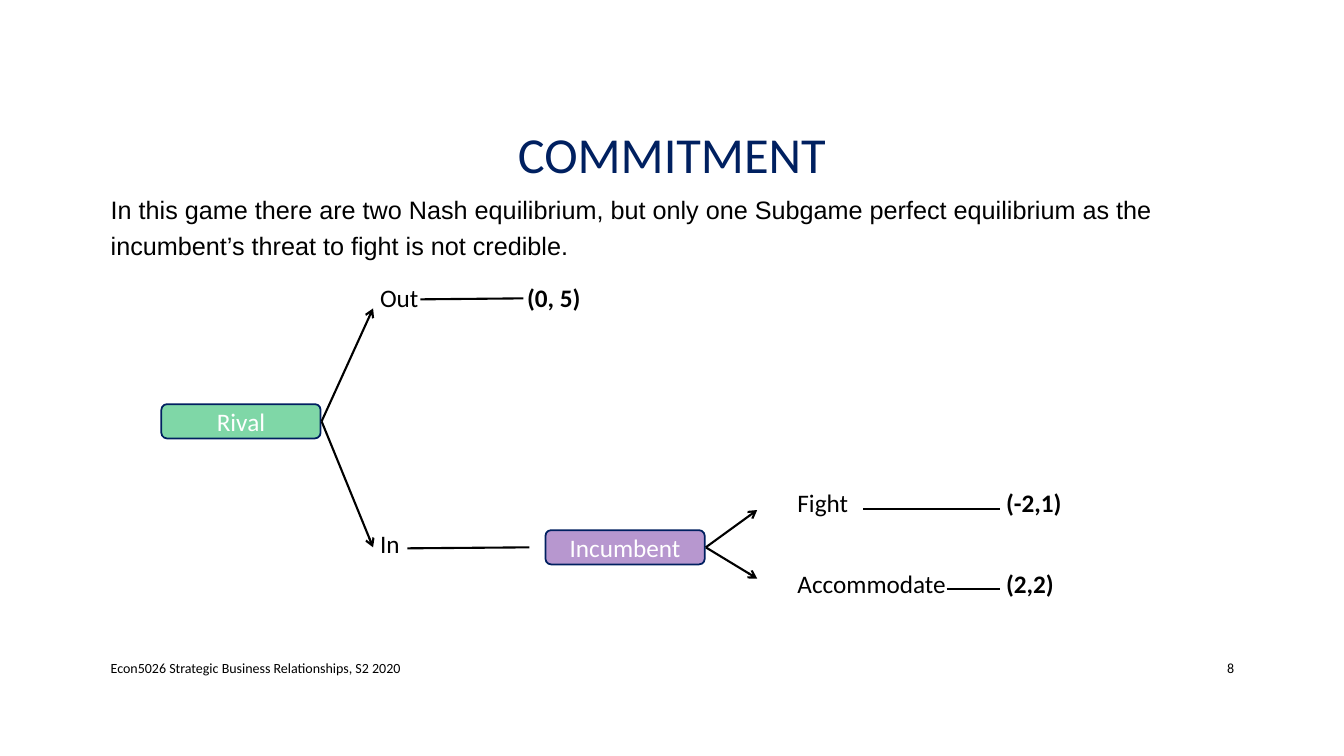
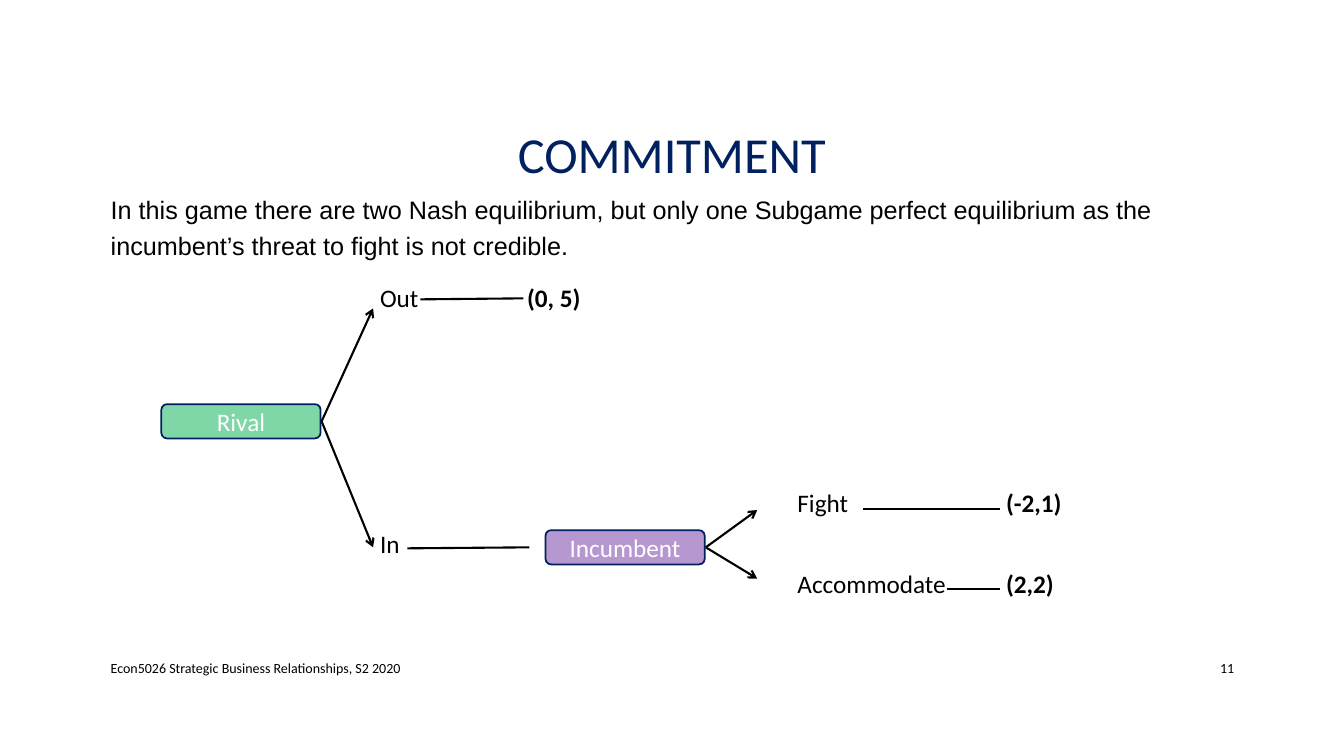
from pptx import Presentation
from pptx.dml.color import RGBColor
from pptx.enum.shapes import MSO_CONNECTOR, MSO_SHAPE
from pptx.enum.text import MSO_ANCHOR, PP_ALIGN
from pptx.oxml.ns import qn
from pptx.util import Inches, Pt
from lxml.etree import SubElement

# Shared look
NAVY, BLACK, WHITE = "002060", "000000", "FFFFFF"
TITLE = "COMMITMENT"
BODY = ("In this game there are two Nash equilibrium, but only one Subgame perfect "
        "equilibrium as the incumbent’s threat to fight is not credible.")
FOOTER = "Econ5026 Strategic Business Relationships, S2 2020"
PAGES = [8, 11]

# Game tree: cells by row and column, players, arrows and plain lines
ROWS, COLS = 9, 5
CELLS = {(1, 1): "Out", (6, 3): "Fight", (6, 4): "(-2,1)",
         (7, 1): "In", (8, 3): "Accommodate", (8, 4): "(2,2)"}
NODES = [("Incumbent", 5.41, 5.26, "7030A0"), ("Rival", 1.6, 4.01, "00B050")]
ARROWS = [(3.19, 4.18, 3.7, 3.06), (3.19, 4.18, 3.7, 5.43),
          (7, 5.43, 7.51, 5.06), (7, 5.43, 7.51, 5.74)]
LINES = [(4.04, 5.44, 5.25, 5.43), (8.56, 5.05, 9.92, 5.05),
         (9.39, 5.84, 9.92, 5.84), (4.17, 2.97, 5.19, 2.96)]


def rgb(code):
    return RGBColor.from_string(code)


def write(frame, text, size=18, color=BLACK, face="Calibri", bold=False,
          align=PP_ALIGN.LEFT, anchor=MSO_ANCHOR.MIDDLE, wrap=True):
    frame.word_wrap = wrap
    frame.vertical_anchor = anchor
    frame.text = text
    para = frame.paragraphs[0]
    para.alignment = align
    font = para.font
    font.size, font.name, font.bold = Pt(size), face, bold
    font.color.rgb = rgb(color)
    return para


deck = Presentation()
deck.slide_width, deck.slide_height = Inches(13.33), Inches(7.5)

for page in PAGES:
    slide = deck.slides.add_slide(deck.slide_layouts[5])
    shapes = slide.shapes

    # Title
    title = shapes.title
    title.left, title.top = Inches(1), Inches(0.68)
    title.width, title.height = Inches(11.33), Inches(1.75)
    para = write(title.text_frame, TITLE, 36, NAVY, align=PP_ALIGN.CENTER)
    para.line_spacing = 0.9

    # Table with the moves and payoffs
    grid = shapes.add_table(ROWS, COLS, Inches(1.6), Inches(2.36),
                            Inches(10.35), Inches(3.65)).table
    grid.first_row = grid.horz_banding = False
    for cell in grid.iter_cells():
        cell.fill.background()
    for (row, col), text in CELLS.items():
        cell = grid.cell(row, col)
        cell.text = text
        font = cell.text_frame.paragraphs[0].font
        font.size, font.name, font.bold = Pt(18), "Calibri", col == COLS - 1
        font.color.rgb = rgb(BLACK)

    # Body text
    box = shapes.add_textbox(Inches(1), Inches(1.82), Inches(11.33), Inches(0.9))
    para = write(box.text_frame, BODY, face="Arial", anchor=MSO_ANCHOR.TOP)
    para.line_spacing = 1.2

    # Footer and page number
    for text, left, width, align in [(FOOTER, 1, 7.3, PP_ALIGN.LEFT),
                                     (str(page), 11.5, 0.84, PP_ALIGN.RIGHT)]:
        box = shapes.add_textbox(Inches(left), Inches(6.43), Inches(width), Inches(0.4))
        write(box.text_frame, text, 10, align=align)

    # Players
    for name, left, top, color in NODES:
        node = shapes.add_shape(MSO_SHAPE.ROUNDED_RECTANGLE, Inches(left), Inches(top),
                                Inches(1.58), Inches(0.34))
        node.shadow.inherit = False
        node.fill.solid()
        node.fill.fore_color.rgb = rgb(color)
        tint = node.fill._xPr.find(qn("a:solidFill"))[0]
        SubElement(tint, qn("a:alpha"), val="50000")
        node.line.color.rgb = rgb(NAVY)
        node.line.width = Pt(1.25)
        write(node.text_frame, name, color=WHITE, align=PP_ALIGN.CENTER)

    # Branches
    for ends in ARROWS + LINES:
        link = shapes.add_connector(MSO_CONNECTOR.STRAIGHT, *map(Inches, ends))
        link.line.color.rgb = rgb(BLACK)
        link.line.width = Pt(1.5)
        if ends in ARROWS:
            SubElement(link.line._get_or_add_ln(), qn("a:tailEnd"), type="arrow")
        SubElement(link._element.spPr, qn("a:effectLst"))

    # Payoff for staying out
    box = shapes.add_textbox(Inches(5.13), Inches(2.75), Inches(0.76), Inches(0.4))
    write(box.text_frame, "(0, 5)", bold=True, anchor=MSO_ANCHOR.TOP, wrap=False)

deck.save("out.pptx")
